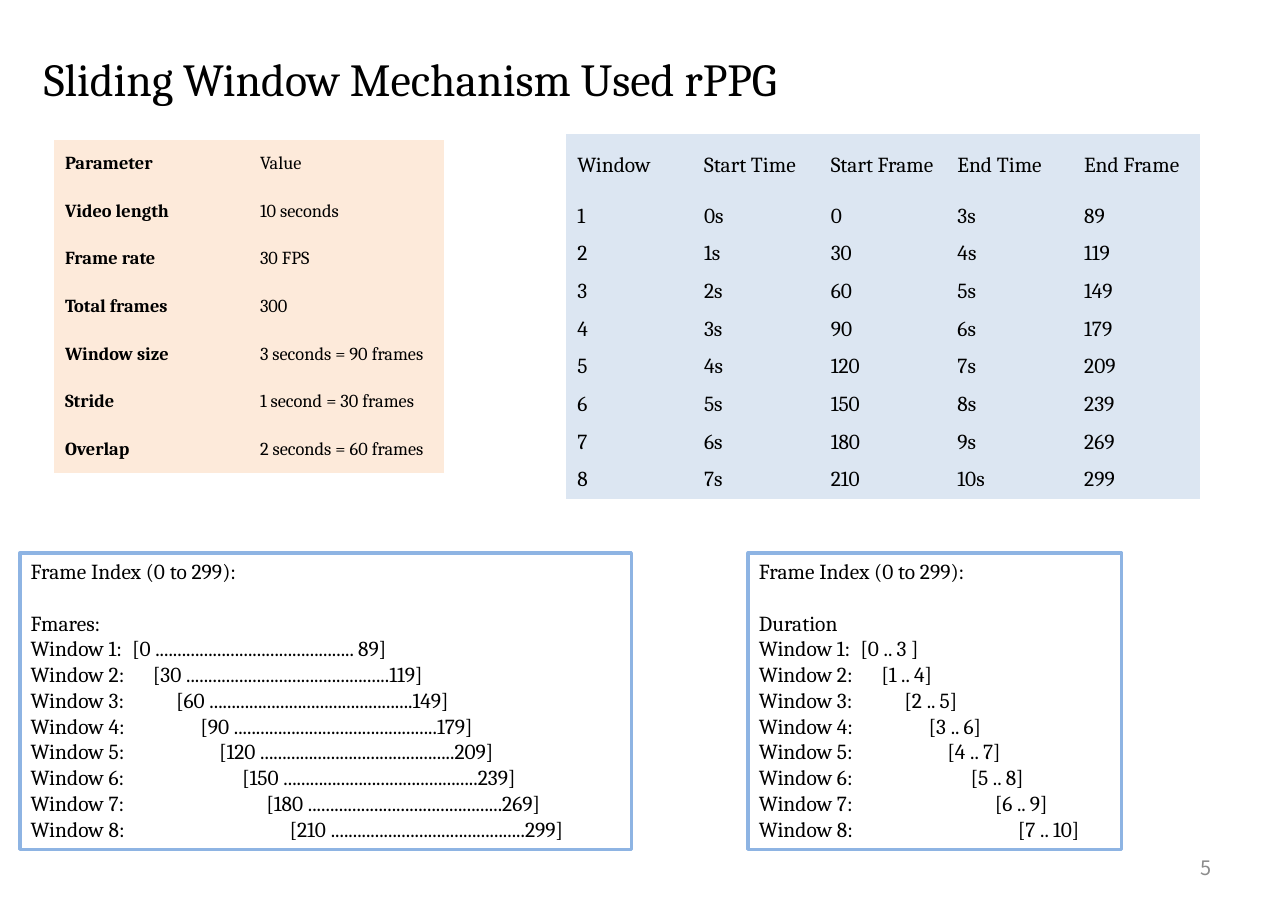
"""Build the slide on the sliding window mechanism used for rPPG."""
from dataclasses import dataclass
from typing import Any

from lxml import etree
from pptx import Presentation
from pptx import util as u
from pptx.dml import color
from pptx.enum import shapes, text
from pptx.oxml import ns

SERIF = "Cambria"
BLACK = "000000"
NO_STYLE = "{2D5ABB26-0587-4C30-8999-92F81FD0307C}"
FPS, LENGTH, STRIDE, COUNT = 30, 3, 1, 8
BRACKET_STOPS = (0.92, 1.11, 1.32, 1.54, 1.71, 1.92, 2.14, 2.35)
DOT_COUNTS = (45, 46, 46, 46, 44, 44, 44, 44)


@dataclass
class Area:
    left: float
    top: float
    width: float
    height: float

    def lengths(self) -> tuple:
        return tuple(u.Inches(v) for v in (self.left, self.top, self.width, self.height))


@dataclass
class Grid:
    area: Area
    rows: list[tuple[str, ...]]
    fill: str
    size: float
    header_height: float
    bold_labels: bool


@dataclass
class IndexBox:
    area: Area
    subtitle: str
    ranges: list[str]


def rgb(code: str) -> color.RGBColor:
    return color.RGBColor.from_string(code)


def apply(target: Any, formats: dict[str, Any]) -> None:
    for name, value in formats.items():
        setattr(target, name, value)


def write(para: Any, words: str, size: float, font: str = SERIF,
          tint: str = BLACK, bold: bool = False) -> None:
    span = para.add_run()
    span.text = words
    apply(span.font, {"name": font, "size": u.Pt(size), "bold": bold})
    span.font.color.rgb = rgb(tint)


def add_label(page: Any, area: Area, frame_formats: dict[str, Any],
              para_formats: dict[str, Any], words: str, **style: Any) -> None:
    frame = page.shapes.add_textbox(*area.lengths()).text_frame
    apply(frame, {"word_wrap": True, **frame_formats})
    para = frame.paragraphs[0]
    apply(para, para_formats)
    write(para, words, **style)


def add_grid(page: Any, grid: Grid) -> None:
    row_count, column_count = len(grid.rows), len(grid.rows[0])
    table = page.shapes.add_table(row_count, column_count, *grid.area.lengths()).table
    apply(table, {"first_row": False, "horz_banding": False})
    table._tbl.tblPr.find(ns.qn("a:tableStyleId")).text = NO_STYLE
    body_height = (grid.area.height - grid.header_height) / (row_count - 1)
    for column in table.columns:
        column.width = u.Inches(grid.area.width / column_count)
    for r, values in enumerate(grid.rows):
        table.rows[r].height = u.Inches(body_height if r else grid.header_height)
        for c, value in enumerate(values):
            cell = table.cell(r, c)
            cell.vertical_anchor = text.MSO_ANCHOR.MIDDLE
            cell.fill.solid()
            cell.fill.fore_color.rgb = rgb(grid.fill)
            write(cell.text_frame.paragraphs[0], value, grid.size,
                  bold=grid.bold_labels and c == 0)


def add_tab_stop(para: Any, position: float) -> None:
    stops = etree.SubElement(para._p.get_or_add_pPr(), ns.qn("a:tabLst"))
    etree.SubElement(stops, ns.qn("a:tab"), pos=str(u.Inches(position)), algn="l")


def add_index_box(page: Any, index: IndexBox) -> None:
    box = page.shapes.add_shape(shapes.MSO_SHAPE.RECTANGLE, *index.area.lengths())
    box.shadow.inherit = False
    box.fill.background()
    box.line.color.rgb = rgb("8EB4E3")
    box.line.width = u.Pt(2.25)
    frame = box.text_frame
    apply(frame, {"word_wrap": True, "vertical_anchor": text.MSO_ANCHOR.TOP,
                  "auto_size": text.MSO_AUTO_SIZE.SHAPE_TO_FIT_TEXT})
    heading, subtitle = frame.paragraphs[0], frame.add_paragraph()
    subtitle.space_before = u.Pt(16.8)
    write(heading, "Frame Index (0 to 299):", 14)
    write(subtitle, index.subtitle, 14)
    for number, (stop, span_range) in enumerate(zip(BRACKET_STOPS, index.ranges), 1):
        para = frame.add_paragraph()
        add_tab_stop(para, stop)
        write(para, f"Window {number}:\t[{span_range}]", 14)
    for para in frame.paragraphs:
        para.alignment = text.PP_ALIGN.LEFT


def main() -> None:
    deck = Presentation()
    apply(deck, {"slide_width": u.Inches(11.69), "slide_height": u.Inches(8.27)})
    page = deck.slides.add_slide(deck.slide_layouts[6])

    add_label(page, Area(0.3, 0.16, 9.11, 0.78),
              {"auto_size": text.MSO_AUTO_SIZE.SHAPE_TO_FIT_TEXT},
              {"line_spacing": 1.5}, "Sliding Window Mechanism Used rPPG", size=30)
    add_label(page, Area(8.38, 7.66, 2.73, 0.44),
              {"vertical_anchor": text.MSO_ANCHOR.MIDDLE,
               "margin_left": u.Inches(0.11), "margin_right": u.Inches(0.11)},
              {"alignment": text.PP_ALIGN.RIGHT}, "5",
              size=13, font="Noto Sans CJK KR", tint="8C8C8C")

    parameters = [
        ("Parameter", "Value"),
        ("Video length", "10 seconds"),
        ("Frame rate", "30 FPS"),
        ("Total frames", "300"),
        ("Window size", "3 seconds = 90 frames"),
        ("Stride", "1 second = 30 frames"),
        ("Overlap", "2 seconds = 60 frames"),
    ]
    starts = [i * STRIDE for i in range(COUNT)]
    frames = [(s * FPS, (s + LENGTH) * FPS - 1) for s in starts]
    windows = [("Window", "Start Time", "Start Frame", "End Time", "End Frame")]
    windows += [(str(i), f"{s}s", str(first), f"{s + LENGTH}s", str(last))
                for i, (s, (first, last)) in enumerate(zip(starts, frames), 1)]
    add_grid(page, Grid(Area(0.49, 1.27, 3.54, 3.03), parameters, "FDEADA", 12, 0.43, True))
    add_grid(page, Grid(Area(5.14, 1.22, 5.75, 3.31), windows, "DCE6F2", 14, 0.57, False))

    frame_ranges = [f"{first} {'.' * dots}{'' if first else ' '}{last}"
                    for (first, last), dots in zip(frames, DOT_COUNTS)]
    second_ranges = [f"{s} .. {s + LENGTH}{'' if s else ' '}" for s in starts]
    add_index_box(page, IndexBox(Area(0.18, 5.02, 5.55, 2.69), "Fmares:", frame_ranges))
    add_index_box(page, IndexBox(Area(6.79, 5.02, 3.39, 2.69), "Duration", second_ranges))

    deck.save("out.pptx")


if __name__ == "__main__":
    main()
